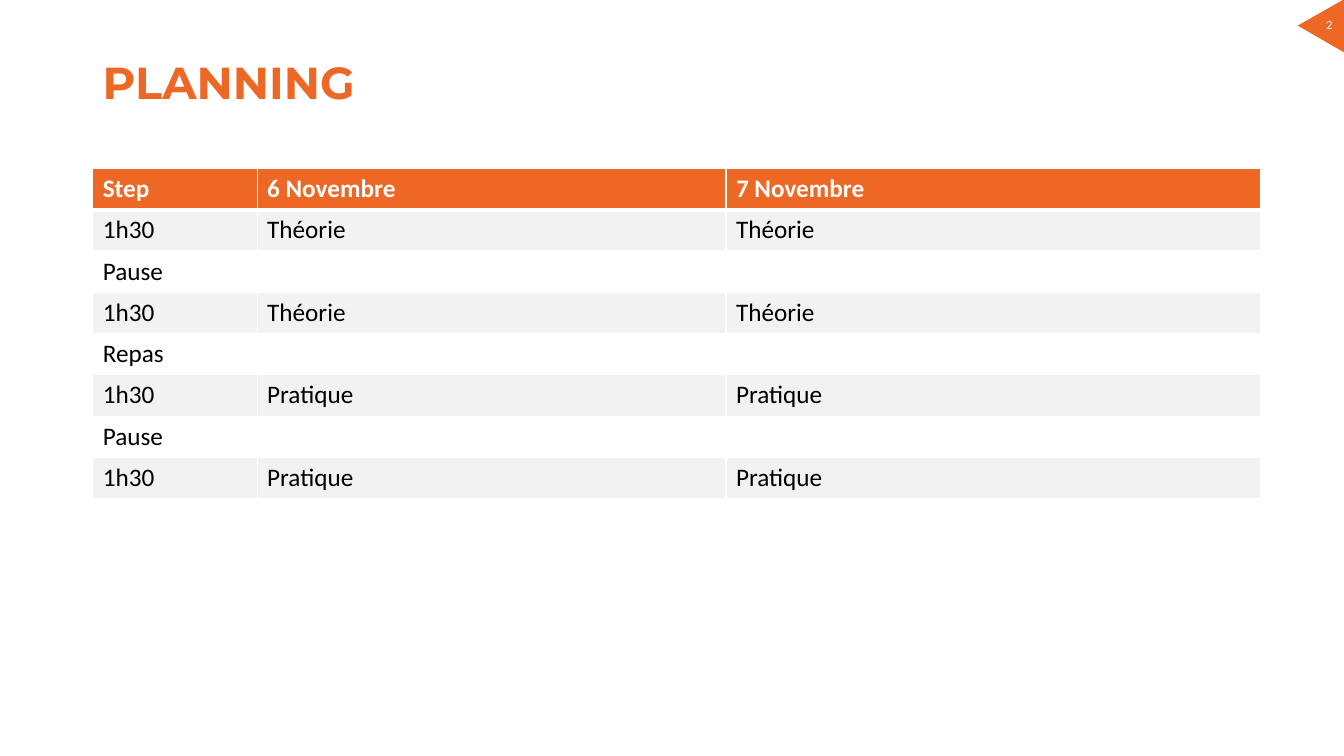
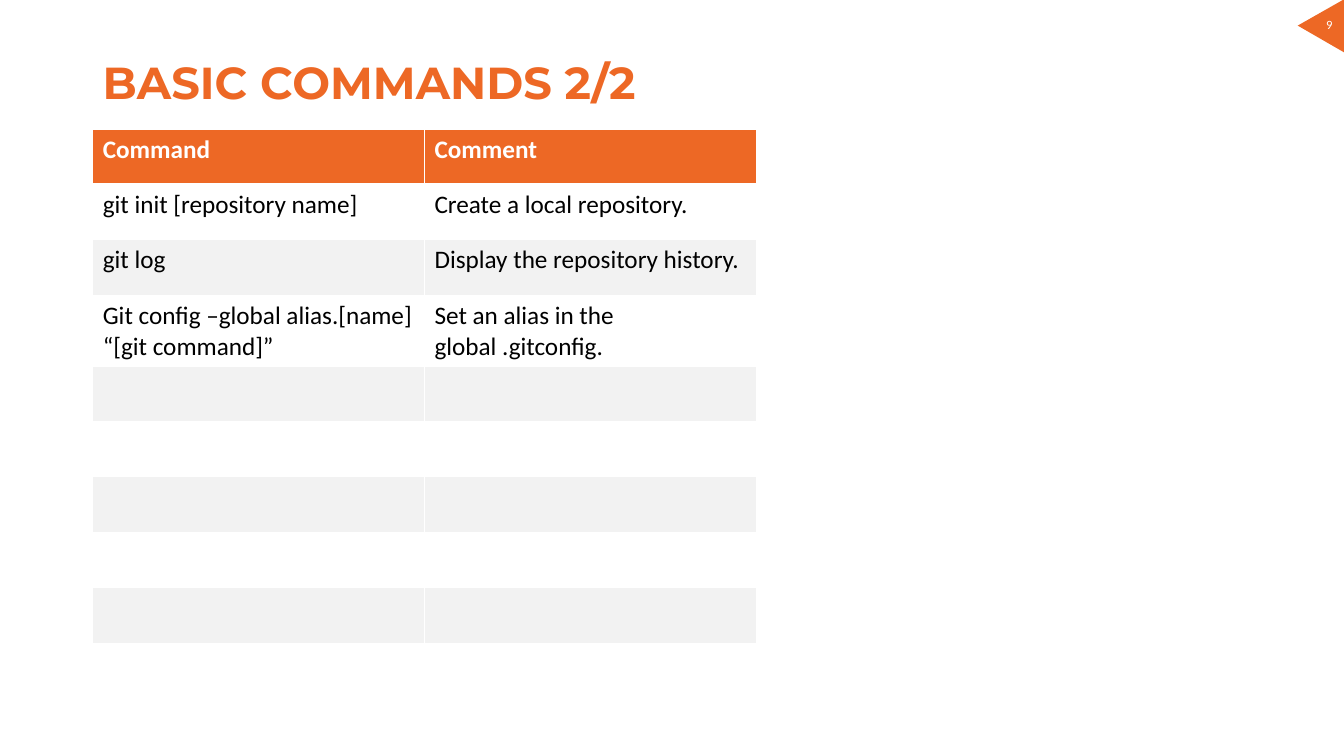
from dataclasses import dataclass

from lxml import etree
from pptx import Presentation
from pptx.dml.color import RGBColor
from pptx.enum import shapes, text
from pptx.oxml import ns
from pptx.util import Inches, Pt


@dataclass(frozen=True)
class Theme:
    accent: RGBColor = RGBColor(0xED, 0x68, 0x25)
    band: RGBColor = RGBColor(0xF2, 0xF2, 0xF2)
    white: RGBColor = RGBColor(0xFF, 0xFF, 0xFF)
    black: RGBColor = RGBColor(0x00, 0x00, 0x00)
    title_font: str = "Montserrat"
    body_font: str = "Calibri"
    title_size: int = 32
    body_size: int = 18
    number_size: int = 9
    border: int = 1
    header_border: int = 3
    left: float = 0.92


THEME = Theme()

PLANNING = [
    ("Step", "6 Novembre", "7 Novembre"),
    ("1h30", "Théorie", "Théorie"),
    ("Pause", "", ""),
    ("1h30", "Théorie", "Théorie"),
    ("Repas", "", ""),
    ("1h30", "Pratique", "Pratique"),
    ("Pause", "", ""),
    ("1h30", "Pratique", "Pratique"),
]

COMMANDS = [
    ("Command", "Comment"),
    ("git init [repository name]", "Create a local repository."),
    ("git log", "Display the repository history."),
    ("Git config –global alias.[name] “[git command]”",
     "Set an alias in the global .gitconfig."),
] + [("", "")] * 5


def style_runs(p, font, size, color, bold=False):
    for r in p.runs:
        r.font.name = font
        r.font.size = Pt(size)
        r.font.bold = bold
        r.font.color.rgb = color


def add_text(slide, box, content):
    tf = slide.shapes.add_textbox(*map(Inches, box)).text_frame
    tf.word_wrap = True
    tf.text = content
    return tf


def add_title(slide, title):
    tf = add_text(slide, (THEME.left, 0.4, 11.58, 0.88), title)
    tf.vertical_anchor = text.MSO_ANCHOR.MIDDLE
    p = tf.paragraphs[0]
    p.line_spacing = 0.9
    style_runs(p, THEME.title_font, THEME.title_size, THEME.accent, True)


def add_page_marker(slide, number):
    sp = slide.shapes.add_shape(
        shapes.MSO_SHAPE.ISOSCELES_TRIANGLE,
        *map(Inches, (12.95, -0.04, 0.54, 0.46)))
    sp.rotation = 30
    sp.shadow.inherit = False
    sp.fill.solid()
    sp.fill.fore_color.rgb = THEME.accent
    sp.line.fill.background()
    p = add_text(slide, (12.85, 0.12, 0.67, 0.25), str(number)).paragraphs[0]
    p.alignment = text.PP_ALIGN.CENTER
    style_runs(p, THEME.body_font, THEME.number_size, THEME.white)


def set_borders(cell, top, bottom):
    tc_pr = cell._tc.get_or_add_tcPr()
    widths = {"L": THEME.border, "R": THEME.border, "T": top, "B": bottom}
    for side, width in widths.items():
        ln = etree.SubElement(tc_pr, ns.qn(f"a:ln{side}"), w=str(Pt(width)))
        fill = etree.SubElement(ln, ns.qn("a:solidFill"))
        etree.SubElement(fill, ns.qn("a:srgbClr"), val=str(THEME.white))


def style_cell(cell, row, content, first_band):
    header = row == 0
    set_borders(cell,
                THEME.header_border if row == 1 else THEME.border,
                THEME.header_border if header else THEME.border)
    banded = row % 2 == first_band % 2
    cell.fill.solid()
    cell.fill.fore_color.rgb = (
        THEME.accent if header else THEME.band if banded else THEME.white)
    cell.text = content
    style_runs(cell.text_frame.paragraphs[0], THEME.body_font, THEME.body_size,
               THEME.white if header else THEME.black, header)


def add_grid(slide, rows, top, widths, row_height, first_band):
    frame = slide.shapes.add_table(
        len(rows), len(widths), Inches(THEME.left), Inches(top),
        Inches(sum(widths)), Inches(row_height * len(rows)))
    table = frame.table
    for column, width in zip(table.columns, widths):
        column.width = Inches(width)
    for i, values in enumerate(rows):
        table.rows[i].height = Inches(row_height)
        for j, value in enumerate(values):
            style_cell(table.cell(i, j), i, value, first_band)


def add_slide(prs, title, number):
    s = prs.slides.add_slide(prs.slide_layouts[6])
    add_page_marker(s, number)
    add_title(s, title)
    return s


def main():
    prs = Presentation()
    prs.slide_width = Inches(13.33)
    prs.slide_height = Inches(7.5)
    s = add_slide(prs, "PLANNING", 2)
    add_grid(s, PLANNING, 1.67, (1.63, 4.65, 5.3), 0.41, first_band=1)
    s = add_slide(prs, "BASIC COMMANDS 2/2", 9)
    add_grid(s, COMMANDS, 1.28, (3.29, 3.29), 0.55, first_band=2)
    prs.save("out.pptx")


if __name__ == "__main__":
    main()
